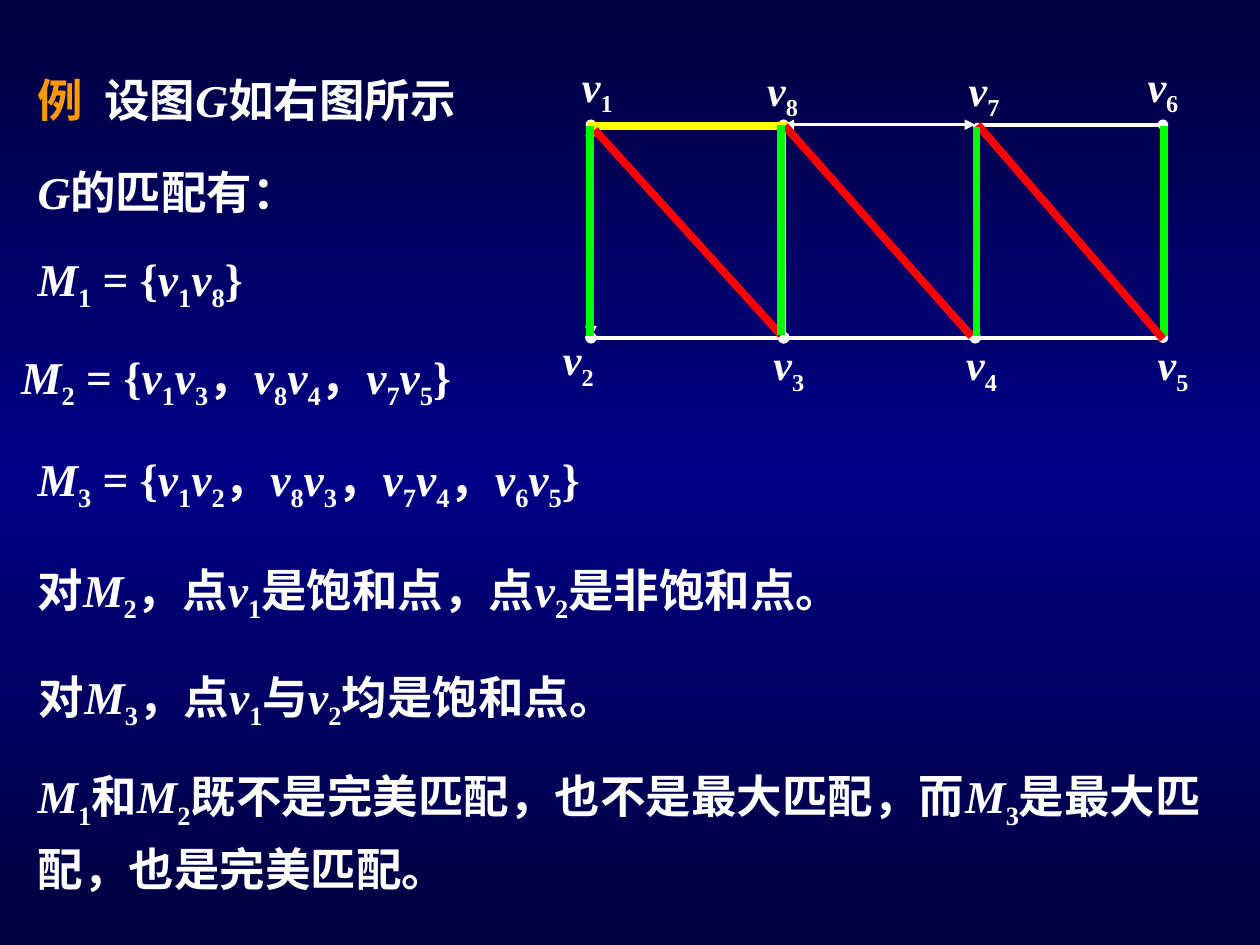
from copy import deepcopy
from itertools import groupby

from lxml import etree
from pptx import Presentation
from pptx.dml.color import RGBColor
from pptx.enum.shapes import MSO_CONNECTOR
from pptx.oxml.ns import qn
from pptx.util import Inches, Pt

STRAIGHT = MSO_CONNECTOR.STRAIGHT

WHITE = RGBColor(0xFF, 0xFF, 0xFF)
ORANGE = RGBColor(0xFF, 0x99, 0x00)
YELLOW = RGBColor(0xFF, 0xFF, 0x00)
RED = RGBColor(0xFF, 0x00, 0x00)
GREEN = RGBColor(0x00, 0xFF, 0x00)
NAVY = RGBColor(0x00, 0x00, 0x3E)
BLUE = RGBColor(0x00, 0x00, 0x86)

LATIN = "Times New Roman"
CJK = "Noto Sans CJK SC"

# Graph grid: four columns, two rows
COLS = (4.69, 6.22, 7.74, 9.23)
TOP, BOTTOM = 0.99, 2.68

# Start column and row, end column and row, width, line ends
EDGES = [
    (0, BOTTOM, 1, BOTTOM, 2.25, "oval"),
    (0, TOP, 1, TOP, 2, "oval"),
    (0, BOTTOM, 0, TOP, 2.25, "triangle"),
    (0, TOP, 1, BOTTOM, 2.25, None),
    (1, TOP, 1, BOTTOM, 2.25, None),
    (1, BOTTOM, 2, BOTTOM, 2.25, "oval"),
    (1, TOP, 2, TOP, 2, "triangle"),
    (1, TOP, 2, BOTTOM, 2.25, None),
    (2, TOP, 2, BOTTOM, 2.25, None),
    (3, TOP, 3, BOTTOM, 2, "oval"),
    (2, TOP, 3, TOP, 2.25, None),
    (2, BOTTOM, 3, BOTTOM, 2.25, None),
    (3, BOTTOM, 2, TOP, 2.25, None),
]

VERTICES = [
    ("v1", 4.52, 0.43), ("v2", 4.37, 2.6), ("v3", 6.04, 2.64), ("v4", 7.57, 2.64),
    ("v8", 5.99, 0.46), ("v5", 9.09, 2.64), ("v7", 7.59, 0.46), ("v6", 9.01, 0.43),
]

MATCHINGS = [
    (YELLOW, 4.67, 1, 6.25, 1),
    (RED, 4.72, 1.03, 6.2, 2.66),
    (RED, 6.23, 1, 7.71, 2.67),
    (GREEN, 4.68, 1, 4.68, 2.67),
    (GREEN, 9.24, 1, 9.24, 2.67),
    (GREEN, 6.2, 0.99, 6.2, 2.66),
    (RED, 7.76, 0.99, 9.23, 2.69),
    (GREEN, 7.75, 1.01, 7.75, 2.67),
]

STATEMENTS = [
    ("G的匹配有：", 0.2, 1.25, 2.83, 0.54),
    ("M1 = {v1v8}", 0.2, 1.94, 2.68, 0.6),
    ("M3 = {v1v2，v8v3，v7v4，v6v5}", 0.2, 3.53, 6, 0.6),
    ("对M2，点v1是饱和点，点v2是非饱和点。", 0.2, 4.41, 8.02, 0.6),
    ("对M3，点v1与v2均是饱和点。", 0.21, 5.26, 8.02, 0.6),
]


def char_kind(ch):
    """Variables are italic, digits are subscripts, the rest is plain."""
    if ch in "GMv":
        return "variable"
    return "subscript" if ch.isdigit() else "plain"


class SlideBuilder:
    def __init__(self, s, size=26):
        self.s = s
        self.size = size

    def background(self, colors):
        """Vertical gradient with three evenly spaced stops."""
        fill = self.s.background.fill
        fill.gradient()
        fill.gradient_angle = 90
        stops = self.s.element.find(".//" + qn("a:gsLst"))
        stops.append(deepcopy(stops[0]))
        for i, (stop, color) in enumerate(zip(fill.gradient_stops, colors)):
            stop.position = i / 2
            stop.color.rgb = color

    def line(self, x1, y1, x2, y2, color, width, ends=None):
        sp = self.s.shapes.add_connector(
            STRAIGHT, Inches(x1), Inches(y1), Inches(x2), Inches(y2))
        sp.line.color.rgb = color
        sp.line.width = Pt(width)
        if ends:
            ln = sp.line._get_or_add_ln()
            for tag in ("a:headEnd", "a:tailEnd"):
                etree.SubElement(ln, qn(tag), type=ends)
        etree.SubElement(sp._element.spPr, qn("a:effectLst"))

    def text(self, x, y, w, h, content="", size=None, wrap=True):
        """Add a text box and return its paragraph."""
        sp = self.s.shapes.add_textbox(Inches(x), Inches(y), Inches(w), Inches(h))
        tf = sp.text_frame
        tf.word_wrap = wrap
        p = tf.paragraphs[0]
        self.formula(p, content, size)
        return p

    def formula(self, p, content, size=None):
        for kind, chars in groupby(content, char_kind):
            r = self.run(p, "".join(chars), size=size)
            r.font.italic = kind == "variable"
            if kind == "subscript":
                r.font._element.set("baseline", "-25000")

    def run(self, p, content, color=WHITE, size=None, latin=LATIN):
        r = p.add_run()
        r.text = content
        r.font.size = Pt(size or self.size)
        r.font.bold = True
        r.font.name = latin
        r.font.color.rgb = color
        etree.SubElement(r.font._element, qn("a:ea"), typeface=CJK)
        return r

    def tab_stop(self, p, x):
        tabs = etree.SubElement(p._p.get_or_add_pPr(), qn("a:tabLst"))
        etree.SubElement(tabs, qn("a:tab"), pos=str(Inches(x)), algn="l")


def main():
    prs = Presentation()
    prs.slide_width, prs.slide_height = Inches(10), Inches(7.5)
    slide = SlideBuilder(prs.slides.add_slide(prs.slide_layouts[6]))
    slide.background((NAVY, BLUE, NAVY))

    for c1, y1, c2, y2, width, ends in EDGES:
        slide.line(COLS[c1], y1, COLS[c2], y2, WHITE, width, ends)
    for name, x, y in VERTICES:
        p = slide.text(x, y, 0.63, 0.56, name, size=24)
        p.space_before = Pt(15)

    title = slide.text(0.2, 0.52, 4.17, 0.54)
    slide.tab_stop(title, 0.53)
    slide.run(title, "例\t", ORANGE)
    slide.run(title, "设图", latin=CJK)
    slide.formula(title, "G如右图所示")

    for content, *box in STATEMENTS:
        slide.text(*box, content)
    slide.text(0.07, 2.72, 3.96, 0.6, "M2 = {v1v3，v8v4，v7v5}", wrap=False)
    conclusion = slide.text(
        0.2, 5.95, 9.61, 1.21,
        "M1和M2既不是完美匹配，也不是最大匹配，而M3是最大匹配，也是完美匹配。")
    conclusion.line_spacing = 1.2
    conclusion.space_before = Pt(16.2)

    for color, *ends in MATCHINGS:
        slide.line(*ends, color, 4.5)

    prs.save("out.pptx")


if __name__ == "__main__":
    main()
